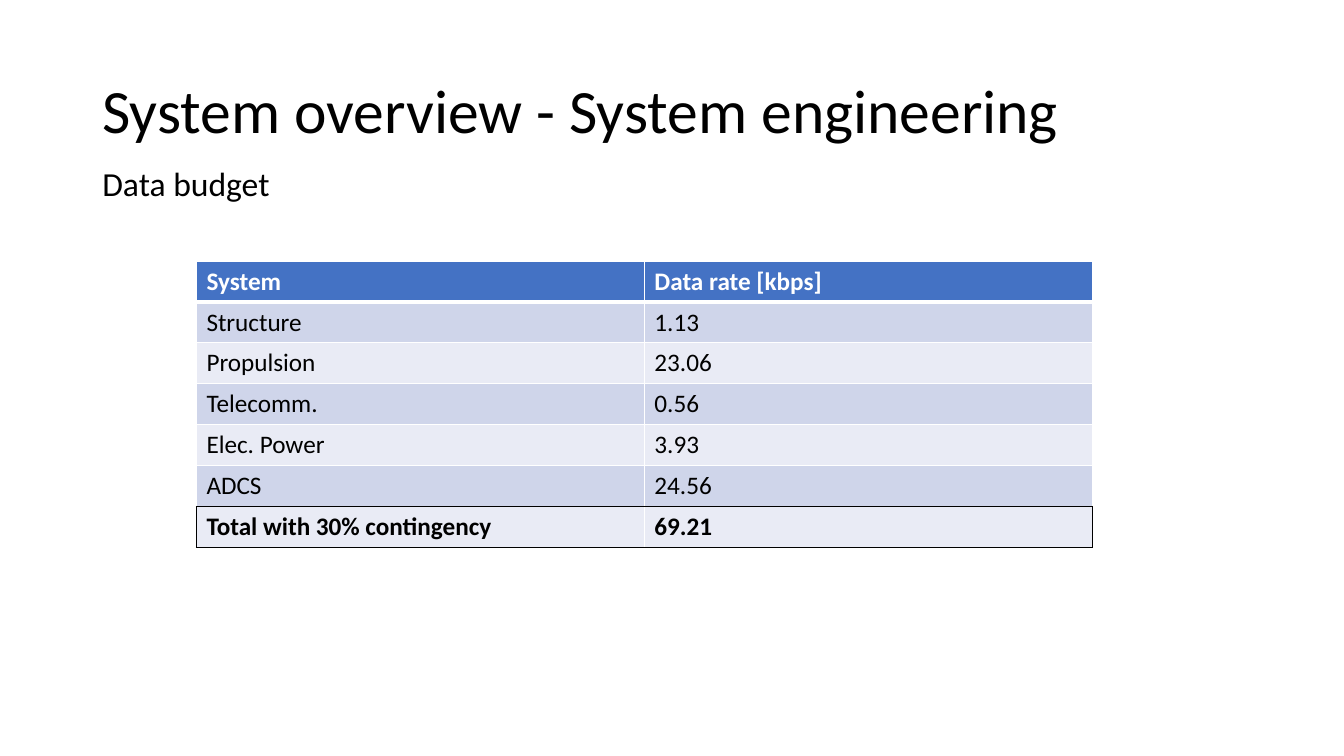
from dataclasses import dataclass

from lxml.etree import SubElement
from pptx import Presentation
from pptx.dml.color import RGBColor
from pptx.enum.text import MSO_ANCHOR as Anchor
from pptx.oxml.ns import qn
from pptx.slide import Slide
from pptx.table import _Cell as Cell
from pptx.text.text import TextFrame
from pptx.util import Cm, Pt

FONT = "Calibri"
BLACK = RGBColor(0x00, 0x00, 0x00)
WHITE = RGBColor(0xFF, 0xFF, 0xFF)
HEADER_BLUE = RGBColor(0x44, 0x72, 0xC4)
BAND_DARK = RGBColor(0xCF, 0xD5, 0xEA)
BAND_LIGHT = RGBColor(0xE9, 0xEB, 0xF5)

ROW_HEIGHT = Cm(1.03)
COLUMN_WIDTH = Cm(11.29)


@dataclass(frozen=True)
class Heading:
    text: str
    left: float
    top: float
    width: float
    height: float
    size: int
    anchor: Anchor = Anchor.TOP
    line_spacing: float = 1.0


@dataclass(frozen=True)
class BudgetRow:
    system: str
    rate: str


@dataclass(frozen=True)
class Border:
    color: RGBColor = WHITE
    width: float = 1


HEADINGS = [
    Heading("System overview - System engineering", 2.33, 1.01, 29.21, 3.68, 44,
            Anchor.MIDDLE, 0.9),
    Heading("Data budget", 2.33, 3.99, 17.12, 1.27, 24),
]
BUDGET = [
    BudgetRow("System", "Data rate [kbps]"),
    BudgetRow("Structure", "1.13"),
    BudgetRow("Propulsion", "23.06"),
    BudgetRow("Telecomm.", "0.56"),
    BudgetRow("Elec. Power", "3.93"),
    BudgetRow("ADCS", "24.56"),
    BudgetRow("Total with 30% contingency", "69.21"),
]


def write_text(tf: TextFrame, text: str, size: int, color: RGBColor = BLACK,
               bold: bool = False) -> None:
    tf.text = text
    font = tf.paragraphs[0].runs[0].font
    font.name = FONT
    font.size = Pt(size)
    font.bold = bold
    font.color.rgb = color


def add_heading(s: Slide, heading: Heading) -> None:
    sp = s.shapes.add_textbox(Cm(heading.left), Cm(heading.top),
                              Cm(heading.width), Cm(heading.height))
    tf = sp.text_frame
    tf.word_wrap = True
    tf.vertical_anchor = heading.anchor
    write_text(tf, heading.text, heading.size)
    tf.paragraphs[0].line_spacing = heading.line_spacing


def set_borders(cell: Cell, borders: dict[str, Border]) -> None:
    tc_pr = cell._tc.get_or_add_tcPr()
    for side in "LRTB":
        border = borders.get(side, Border())
        ln = SubElement(tc_pr, qn(f"a:ln{side}"), w=str(Pt(border.width)))
        fill = SubElement(ln, qn("a:solidFill"))
        SubElement(fill, qn("a:srgbClr"), val=str(border.color))


def row_borders(row: int, column: int) -> dict[str, Border]:
    total = len(BUDGET) - 1
    outline = Border(BLACK)
    if row == total:
        return {"T": outline, "B": outline, "LR"[column]: outline}
    if row == total - 1:
        return {"B": outline}
    if row == 0:
        return {"B": Border(width=3)}
    if row == 1:
        return {"T": Border(width=3)}
    return {}


def row_fill(row: int) -> RGBColor:
    if row == 0:
        return HEADER_BLUE
    return BAND_DARK if row % 2 else BAND_LIGHT


def add_budget_table(s: Slide, rows: list[BudgetRow]) -> None:
    table = s.shapes.add_table(len(rows), 2, Cm(4.95), Cm(6.58),
                               2 * COLUMN_WIDTH, len(rows) * ROW_HEIGHT).table
    for column in table.columns:
        column.width = COLUMN_WIDTH
    for i, row in enumerate(rows):
        table.rows[i].height = ROW_HEIGHT
        for j, text in enumerate((row.system, row.rate)):
            cell = table.cell(i, j)
            write_text(cell.text_frame, text, 18, BLACK if i else WHITE,
                       i in (0, len(rows) - 1))
            set_borders(cell, row_borders(i, j))
            cell.fill.solid()
            cell.fill.fore_color.rgb = row_fill(i)


def main() -> None:
    prs = Presentation()
    prs.slide_width = Cm(33.87)
    prs.slide_height = Cm(19.05)
    s = prs.slides.add_slide(prs.slide_layouts[6])
    for heading in HEADINGS:
        add_heading(s, heading)
    add_budget_table(s, BUDGET)
    prs.save("out.pptx")


if __name__ == "__main__":
    main()
